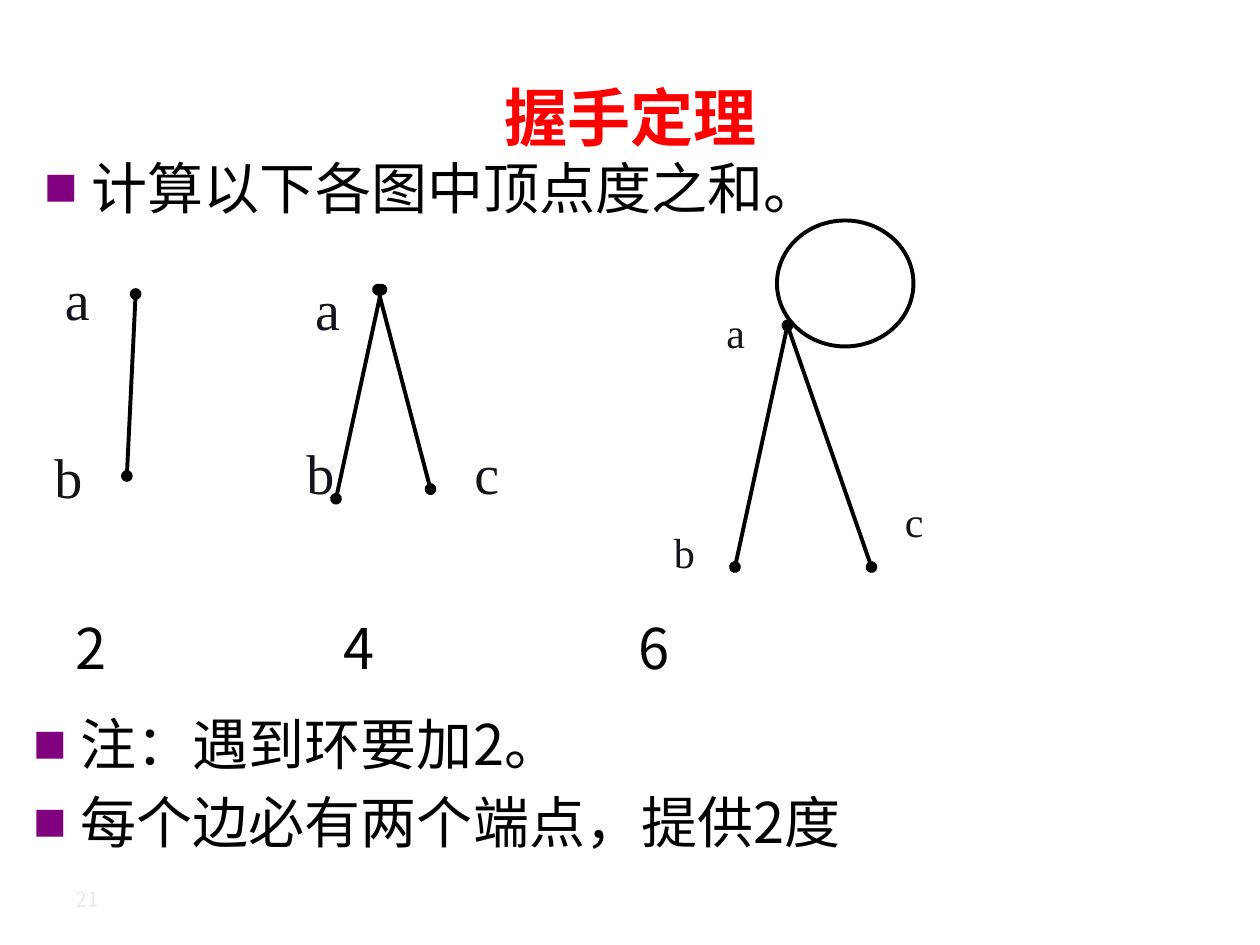
from lxml import etree
from pptx import Presentation
from pptx.dml.color import RGBColor
from pptx.enum.shapes import MSO_CONNECTOR, MSO_SHAPE
from pptx.enum.text import MSO_ANCHOR, MSO_AUTO_SIZE, PP_ALIGN
from pptx.oxml.ns import qn
from pptx.util import Pt

STRAIGHT = MSO_CONNECTOR.STRAIGHT
OVAL = MSO_SHAPE.OVAL
TOP, MIDDLE = MSO_ANCHOR.TOP, MSO_ANCHOR.MIDDLE
NO_AUTOFIT = MSO_AUTO_SIZE.NONE
CENTER, JUSTIFY = PP_ALIGN.CENTER, PP_ALIGN.JUSTIFY

COLORS = {"title": "FF0000", "text": "000000", "label": "13131B",
          "bullet": "800080", "number": "EEECE1"}
SANS = "Noto Sans CJK SC"
SERIF = "Times New Roman"
LINE_HEIGHT = 44.5

# Label and vertex positions are relative to the box of each graph.
GRAPHS = [
    {"box": (30, 144), "size": 32, "label_box": (31, 45.4),
     "labels": {"a": (0, 0), "b": (-6, 102)},
     "edges": [((42.5, 128), (47.5, 24))]},
    {"box": (168, 150), "size": 32, "label_box": (31, 45.4),
     "labels": {"a": (5, 0), "b": (0, 93.5), "c": (96, 93.5)},
     "edges": [((48, 15.5), (78, 129.5)), ((24, 135), (50, 15.5))]},
    {"box": (378, 126), "size": 24, "label_box": (30, 36),
     "labels": {"a": (30, 42), "b": (0, 168), "c": (132, 150)},
     "edges": [((72, 60), (120, 198)), ((42, 198), (72, 60))],
     "loop": (66, 0, 78, 72)},
]


def place(shape, box):
    shape.left, shape.top, shape.width, shape.height = map(Pt, box)


def format_runs(paragraph, font_name, size, color, bold=False):
    for run in paragraph.runs:
        run.font.name = font_name
        run.font.size = Pt(size)
        run.font.bold = bold
        run.font.color.rgb = RGBColor.from_string(COLORS[color])
        east_asian = etree.SubElement(run.font._element, qn("a:ea"))
        east_asian.set("typeface", font_name)


def add_text(shapes, box, text, font_name, size, color):
    text_box = shapes.add_textbox(*map(Pt, box))
    text_box.text_frame.word_wrap = True
    paragraph = text_box.text_frame.paragraphs[0]
    paragraph.text = text
    format_runs(paragraph, font_name, size, color)
    return text_box


def fill_title(title, box, text):
    place(title, box)
    title.text_frame.text = text
    title.text_frame.vertical_anchor = MIDDLE
    paragraph = title.text_frame.paragraphs[0]
    paragraph.alignment = CENTER
    format_runs(paragraph, SANS, 36, "title", bold=True)


def set_square_bullet(paragraph):
    properties = paragraph._p.get_or_add_pPr()
    properties.set("marL", str(Pt(27)))
    properties.set("indent", str(-Pt(27)))
    color = etree.SubElement(properties, qn("a:buClr"))
    etree.SubElement(color, qn("a:srgbClr")).set("val", COLORS["bullet"])
    etree.SubElement(properties, qn("a:buSzPct")).set("val", "60000")
    etree.SubElement(properties, qn("a:buFont")).set("typeface", SANS)
    etree.SubElement(properties, qn("a:buChar")).set("char", "■")


def fill_list(body, box, items):
    place(body, box)
    text_frame = body.text_frame
    text_frame.text = "\n".join(items)
    text_frame.vertical_anchor = TOP
    text_frame.auto_size = NO_AUTOFIT
    for paragraph in text_frame.paragraphs:
        paragraph.alignment = JUSTIFY
        paragraph.space_before = Pt(0)
        paragraph.line_spacing = Pt(LINE_HEIGHT)
        set_square_bullet(paragraph)
        format_runs(paragraph, SANS, 32, "text")


def style_outline(line):
    line.color.rgb = RGBColor.from_string(COLORS["text"])
    line.width = Pt(2.25)


def add_edge(shapes, start, end):
    """Draw an edge with a round vertex at both ends."""
    edge = shapes.add_connector(STRAIGHT, *map(Pt, start + end))
    style_outline(edge.line)
    outline = edge.line._get_or_add_ln()
    for tag in ("a:headEnd", "a:tailEnd"):
        etree.SubElement(outline, qn(tag)).set("type", "oval")
    etree.SubElement(edge._element.spPr, qn("a:effectLst"))


def add_graph(slide, box, size, label_box, labels, edges, loop=None):
    left, top = box
    shapes = slide.shapes.add_group_shape().shapes
    for name, (x, y) in labels.items():
        label = add_text(shapes, (left + x, top + y, *label_box),
                         name, SERIF, size, "label")
        label.text_frame.margin_top = Pt(7)
    for edge in edges:
        start, end = [(left + x, top + y) for x, y in edge]
        add_edge(shapes, start, end)
    if loop:
        x, y, width, height = loop
        ring = shapes.add_shape(OVAL, *map(Pt, (left + x, top + y, width, height)))
        ring.shadow.inherit = False
        ring.fill.background()
        style_outline(ring.line)


def add_degree_sums(slide, box, sums, tab_stops):
    text_box = add_text(slide.shapes, box, "\t".join(sums), SANS, 32, "text")
    paragraph = text_box.text_frame.paragraphs[0]
    paragraph.line_spacing = Pt(LINE_HEIGHT)
    tabs = etree.SubElement(paragraph._p.get_or_add_pPr(), qn("a:tabLst"))
    for position in tab_stops:
        tab = etree.SubElement(tabs, qn("a:tab"))
        tab.set("pos", str(Pt(position)))
        tab.set("algn", "l")


def main():
    presentation = Presentation()
    presentation.slide_width, presentation.slide_height = Pt(720), Pt(540)
    slide = presentation.slides.add_slide(presentation.slide_layouts[3])
    title, task, notes = slide.placeholders

    fill_title(title, (36, 21.5, 648, 90), "握手定理")
    fill_list(task, (18, 78, 672, 45.5), ["计算以下各图中顶点度之和。"])
    for graph in GRAPHS:
        add_graph(slide, **graph)
    add_degree_sums(slide, (36, 341, 546, 46), ["2", "4", "6"], (153, 322))
    fill_list(notes, (12, 396, 672, 93),
              ["注：遇到环要加2。", "每个边必有两个端点，提供2度"])
    add_text(slide.shapes, (36, 503, 168, 26), "21", SANS, 12, "number")

    presentation.save("out.pptx")


if __name__ == "__main__":
    main()
